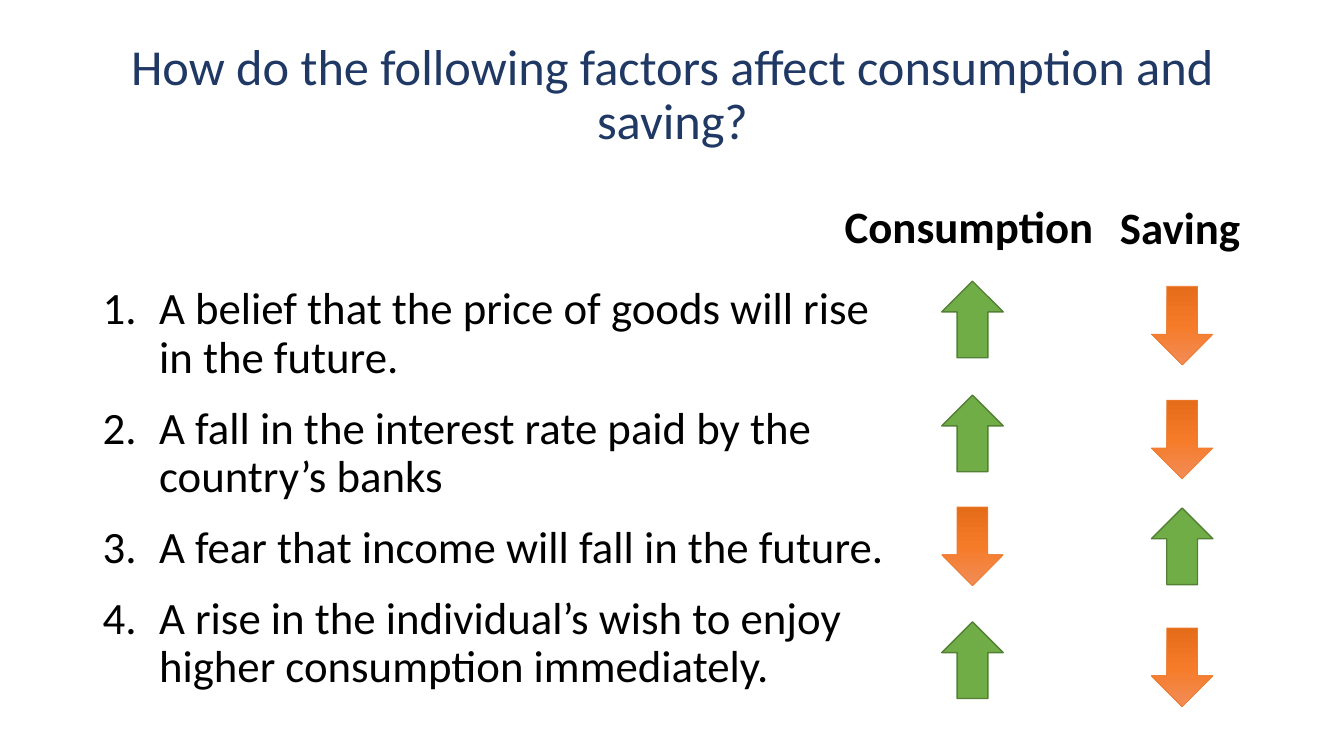
from copy import deepcopy
from dataclasses import dataclass

from pptx import Presentation
from pptx.dml.color import RGBColor
from pptx.enum.shapes import MSO_SHAPE
from pptx.enum.text import MSO_ANCHOR, MSO_AUTO_SIZE, PP_ALIGN
from pptx.oxml.ns import qn
from pptx.util import Inches, Pt


@dataclass(frozen=True)
class Theme:
    font: str = "Calibri"
    title_size: int = 36
    text_size: int = 32
    title_color: str = "203864"
    text_color: str = "000000"
    rise_fill: str = "70AD47"
    rise_line: str = "538035"
    fall_fills: tuple = ("E56C19", "F67B28", "F18C57")
    fall_line: str = "ED7D31"


THEME = Theme()

# Factor, whether consumption rises, top of the rise arrow, top of the fall arrow
FACTORS = [
    ("A belief that the price of goods will rise in the future.", True, 2.79, 2.84),
    ("A fall in the interest rate paid by the country’s banks", True, 3.92, 3.97),
    ("A fear that income will fall in the future.", False, 5.04, 5.03),
    ("A rise in the individual’s wish to enjoy higher consumption immediately.",
     True, 6.17, 6.23),
]
CONSUMPTION_LEFT, SAVING_LEFT = 9.34, 11.42
ARROW_WIDTH = 0.61


def rgb(value):
    return RGBColor.from_string(value)


def write(para, text, size=THEME.text_size, color=THEME.text_color, bold=False,
          align=PP_ALIGN.LEFT, line_spacing=0.9, before=0, after=0):
    para.alignment = align
    para.line_spacing = line_spacing
    para.space_before, para.space_after = Pt(before), Pt(after)
    span = para.add_run()
    span.text = text
    span.font.name = THEME.font
    span.font.size = Pt(size)
    span.font.bold = bold
    span.font.color.rgb = rgb(color)


def number(para, indent=0.56):
    """Make the paragraph an automatically numbered item with a hanging indent."""
    properties = para._p.get_or_add_pPr()
    properties.set("marL", str(Inches(indent)))
    properties.set("indent", str(-Inches(indent)))
    bullet = properties.makeelement(qn("a:buAutoNum"), {"type": "arabicPeriod"})
    properties.append(bullet)


def add_title(page, text):
    title = page.shapes.title
    title.left, title.top = Inches(0.92), Inches(0.06)
    title.width, title.height = Inches(11.5), Inches(1.79)
    frame = title.text_frame
    frame.word_wrap = True
    frame.auto_size = MSO_AUTO_SIZE.NONE
    frame.vertical_anchor = MSO_ANCHOR.MIDDLE
    write(frame.paragraphs[0], text, size=THEME.title_size,
          color=THEME.title_color, align=PP_ALIGN.CENTER)


def add_text_frame(page, left, top, width, height):
    box = page.shapes.add_textbox(Inches(left), Inches(top), Inches(width), Inches(height))
    box.text_frame.word_wrap = True
    return box.text_frame


def add_heading(page, text, left, top, width, height, line_spacing):
    frame = add_text_frame(page, left, top, width, height)
    write(frame.paragraphs[0], text, bold=True, line_spacing=line_spacing)


def add_numbered_list(page, items):
    frame = add_text_frame(page, 0.92, 2.79, 8.17, 4.41)
    for index, item in enumerate(items):
        para = frame.add_paragraph() if index else frame.paragraphs[0]
        number(para)
        write(para, item, before=10 if index else 0, after=6)


def fill_downwards(shape, colors):
    """Fill the shape with evenly spaced gradient colours from top to bottom."""
    shape.fill.gradient()
    shape.fill.gradient_angle = 270
    stop_list = shape._element.spPr.find(".//" + qn("a:gsLst"))
    while len(stop_list) < len(colors):
        stop_list.append(deepcopy(stop_list[0]))
    for index, (stop, color) in enumerate(zip(shape.fill.gradient_stops, colors)):
        stop.position = index / (len(colors) - 1)
        stop.color.rgb = rgb(color)


def add_arrow(page, rises, left, rise_top, fall_top):
    kind, top, height = ((MSO_SHAPE.UP_ARROW, rise_top, 0.76) if rises
                         else (MSO_SHAPE.DOWN_ARROW, fall_top, 0.78))
    arrow = page.shapes.add_shape(
        kind, Inches(left), Inches(top), Inches(ARROW_WIDTH), Inches(height))
    arrow.shadow.inherit = False
    if rises:
        arrow.fill.solid()
        arrow.fill.fore_color.rgb = rgb(THEME.rise_fill)
    else:
        fill_downwards(arrow, THEME.fall_fills)
    arrow.line.color.rgb = rgb(THEME.rise_line if rises else THEME.fall_line)
    arrow.line.width = Pt(1 if rises else 0.5)


def main():
    deck = Presentation()
    deck.slide_width, deck.slide_height = Inches(13.33), Inches(7.5)
    page = deck.slides.add_slide(deck.slide_layouts.get_by_name("Title Only"))
    add_title(page, "How do the following factors affect consumption and saving?")
    add_numbered_list(page, [factor[0] for factor in FACTORS])
    for _, consumption_rises, rise_top, fall_top in FACTORS:
        add_arrow(page, consumption_rises, CONSUMPTION_LEFT, rise_top, fall_top)
        add_arrow(page, not consumption_rises, SAVING_LEFT, rise_top, fall_top)
    add_heading(page, "Consumption", 8.28, 2.03, 2.73, 0.56, line_spacing=0.8)
    add_heading(page, "Saving", 11.01, 1.99, 1.71, 0.71, line_spacing=0.9)
    deck.save("out.pptx")


if __name__ == "__main__":
    main()
